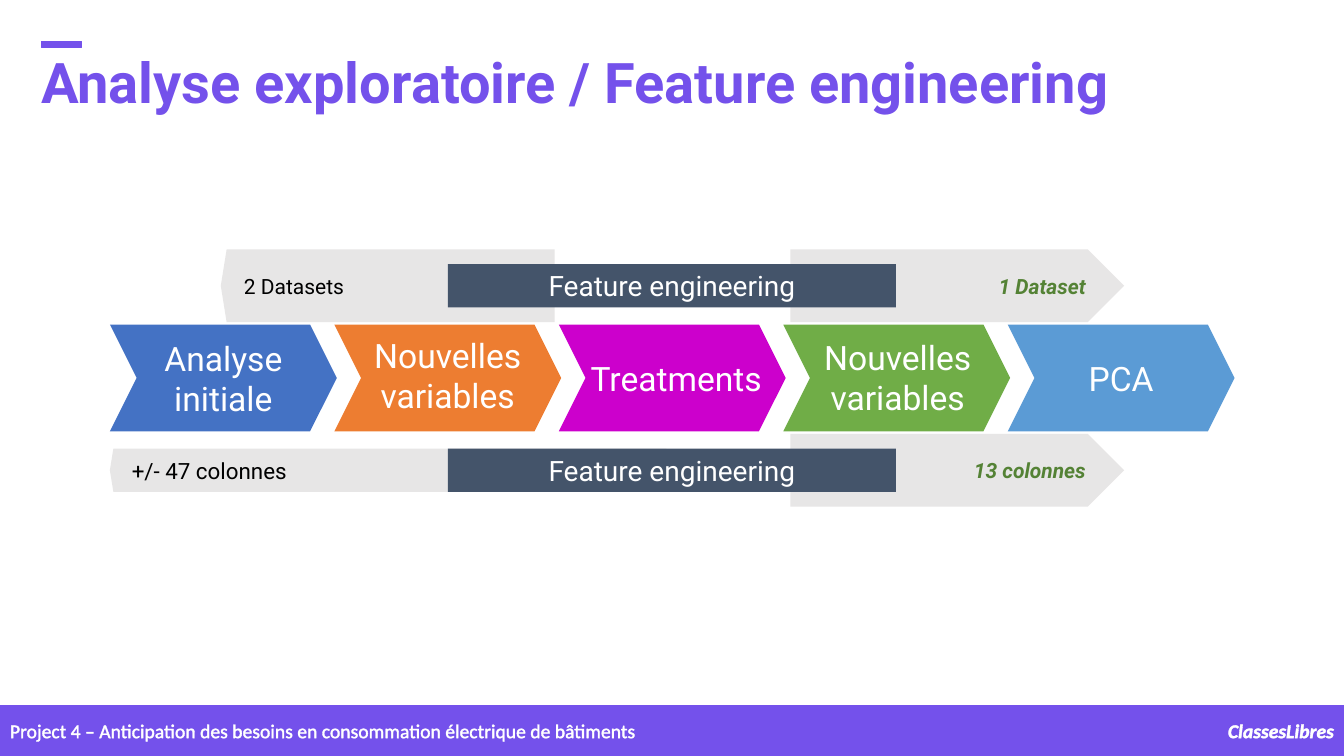
from lxml import etree
from pptx import Presentation
from pptx.dml.color import RGBColor
from pptx.enum.shapes import MSO_SHAPE
from pptx.enum.text import MSO_ANCHOR, PP_ALIGN
from pptx.oxml.ns import qn
from pptx.util import Inches, Pt

RECT, CHEVRON, PLATE = MSO_SHAPE.RECTANGLE, MSO_SHAPE.CHEVRON, MSO_SHAPE.PENTAGON
LEFT, CENTER, RIGHT = PP_ALIGN.LEFT, PP_ALIGN.CENTER, PP_ALIGN.RIGHT
TOP, MIDDLE = MSO_ANCHOR.TOP, MSO_ANCHOR.MIDDLE

THEME = {
    "violet": "7451EB", "white": "FFFFFF", "black": "000000",
    "grey": "E7E6E6", "slate": "44546A", "dark green": "548235",
    "blue": "4472C4", "orange": "ED7D31", "magenta": "CC00CC",
    "green": "70AD47", "sky": "5B9BD5",
    "body font": "Roboto", "footer font": "Calibri",
    "title": 40, "step": 24, "bar": 20, "count": 16, "note": 15, "footer": 14,
}

W, H = 13.33, 7.5
deck = Presentation()
deck.slide_width, deck.slide_height = Inches(W), Inches(H)
slide = deck.slides.add_slide(deck.slide_layouts[6])


def block(kind, x, y, w, h, fill, edge=False):
    """Add a flat preset shape."""
    shape = slide.shapes.add_shape(kind, Inches(x), Inches(y), Inches(w), Inches(h))
    shape.shadow.inherit = False
    shape.fill.solid()
    shape.fill.fore_color.rgb = RGBColor.from_string(THEME[fill])
    if edge:
        shape.line.color.rgb = RGBColor.from_string(THEME[fill])
        shape.line.width = Pt(1)
    else:
        shape.line.fill.background()
    return shape


def write(text, size, color="white", font="body font", box=None, shape=None,
          align=LEFT, anchor=MIDDLE, insets=(0.1, 0.05, 0.1, 0.05),
          bold=False, italic=False, outline=False, spacing=None):
    """Write text into a shape, or into a new text box at box."""
    if shape is None:
        shape = slide.shapes.add_textbox(*map(Inches, box))
    frame = shape.text_frame
    frame.word_wrap = True
    frame.vertical_anchor = anchor
    (frame.margin_left, frame.margin_top,
     frame.margin_right, frame.margin_bottom) = map(Inches, insets)
    paragraph = frame.paragraphs[0]
    paragraph.alignment = align
    paragraph.line_spacing = spacing
    run = paragraph.add_run()
    run.text = text
    run.font.name = THEME[font]
    run.font.size = Pt(THEME[size])
    run.font.bold, run.font.italic = bold, italic
    run.font.color.rgb = RGBColor.from_string(THEME[color])
    if outline:
        line = etree.Element(qn("a:ln"), w=str(Pt(0.75)))
        solid = etree.SubElement(line, qn("a:solidFill"))
        etree.SubElement(solid, qn("a:srgbClr"), val=THEME[color])
        run.font._element.insert(0, line)


# Footer band
band_height = H / 15
footer_top = H - 0.42
block(RECT, 0, H - band_height, W, band_height, "violet", edge=True)
write("ClassesLibres", "footer", font="footer font", box=(W - 1.8, footer_top, 1.8, 0.34),
      align=RIGHT, anchor=TOP, bold=True, italic=True, outline=True)
write("Project 4 – Anticipation des besoins en consommation électrique de bâtiments",
      "footer", font="footer font", box=(0, footer_top, 9.82, 0.34),
      anchor=TOP, outline=True)

# Title with its accent
write("Analyse exploratoire / Feature engineering", "title", "violet",
      box=(0.31, 0.47, 11.93, 0.76), bold=True, outline=True, spacing=0.9)
block(RECT, 0.41, 0.41, 0.4, 0.06, "violet", edge=True)

# Chain of steps: label, colour, label width, shift of the label from the centre
flow_left, flow_middle = 1.09, H / 2
step_pitch, step_width, step_height = W * 0.167, 2.25, 1.06
label_height = 0.37
steps = [
    ("Analyse initiale", "blue", 1.52, 0, 0),
    ("Nouvelles variables", "orange", 2, 0, -0.03),
    ("Treatments", "magenta", 2.16, 0.04, 0),
    ("Nouvelles variables", "green", 2.09, 0.01, -0.01),
    ("PCA", "sky", 1.52, 0, 0),
]
for column, (label, color, label_width, dx, dy) in enumerate(steps):
    x = flow_left + column * step_pitch
    chevron = block(CHEVRON, x, flow_middle - step_height / 2,
                    step_width, step_height, color)
    chevron.adjustments[0] = 0.25
    write(label, "step", align=CENTER, insets=(0.1,) * 4,
          box=(x + (step_width - label_width) / 2 + dx,
               flow_middle - label_height / 2 + dy, label_width, label_height))

# Rows above and below the chain: start and end plates, then the bar across them
row_offset, bar_height = H * 0.122, 0.43
plate_width, plate_height, end_left = 3.31, 0.72, 7.84
before_after = [
    (-1, "2 Datasets", "note", 2.19, plate_width, plate_height, "1 Dataset"),
    (1, "+/- 47 colonnes", "count", flow_left, 5.52, bar_height, "13 colonnes"),
]
for side, start, start_size, start_left, start_width, start_height, end in before_after:
    middle = flow_middle + side * row_offset

    end_plate = block(PLATE, end_left, middle - plate_height / 2,
                      plate_width, plate_height, "grey")
    end_plate.adjustments[0] = 0.5
    write(end, "note", "dark green", shape=end_plate, align=RIGHT,
          insets=(0, 0, 0.2, 0), bold=True, italic=True)

    start_plate = block(PLATE, start_left, middle - start_height / 2,
                        start_width, start_height, "grey")
    start_plate.adjustments[0] = 0.08
    start_plate._element.spPr.find(qn("a:xfrm")).set("flipH", "1")
    write(start, start_size, "black", shape=start_plate, insets=(0.2, 0, 0, 0))

    bar = block(RECT, W / 3, middle - bar_height / 2, W / 3, bar_height, "slate")
    write("Feature engineering", "bar", shape=bar, align=CENTER, insets=(0,) * 4)

deck.save("out.pptx")
